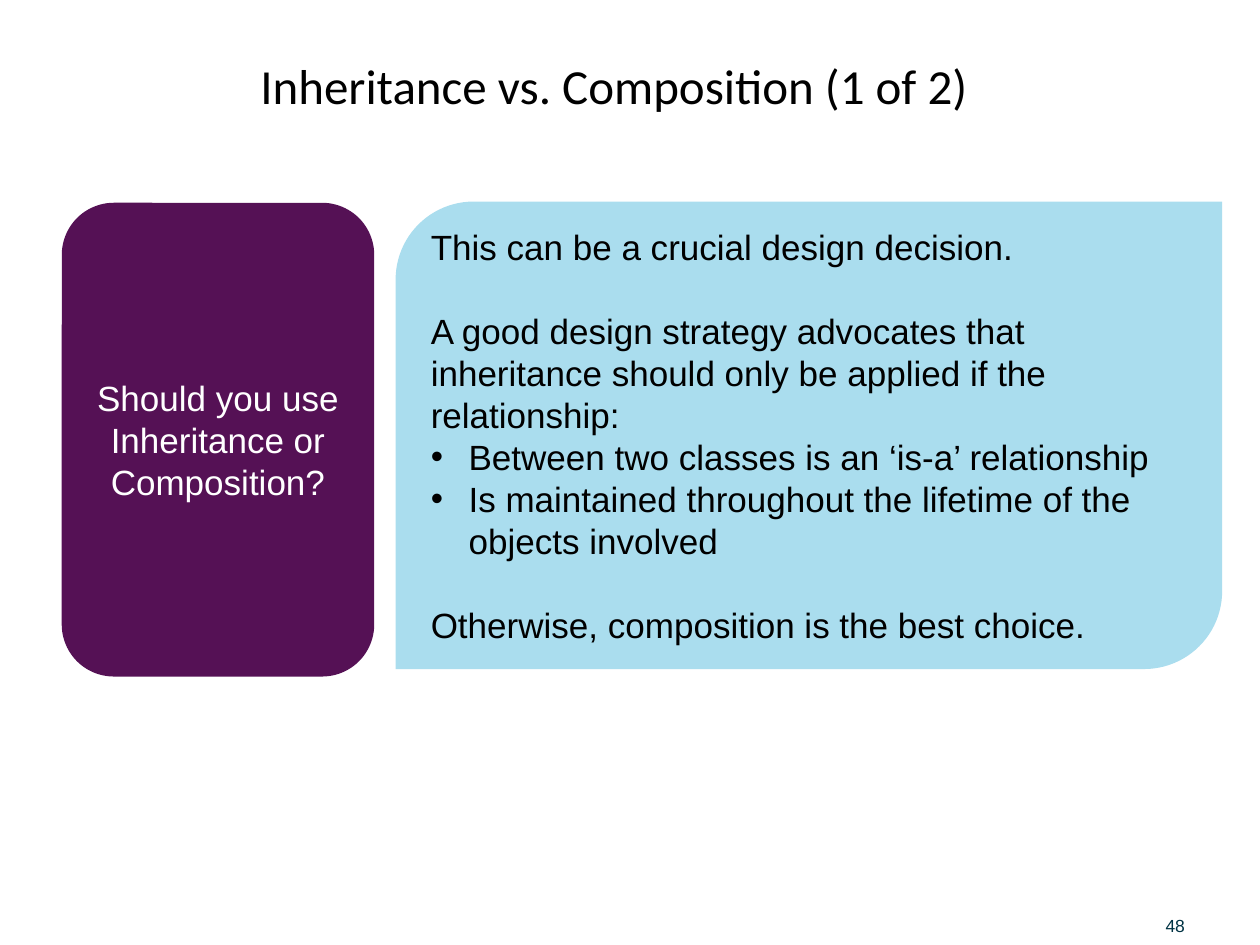
from lxml.etree import SubElement
from pptx import Presentation
from pptx.dml.color import RGBColor
from pptx.enum.shapes import MSO_SHAPE
from pptx.enum.text import MSO_ANCHOR, PP_ALIGN
from pptx.oxml.ns import qn
from pptx.util import Inches, Pt

BLACK = RGBColor(0x00, 0x00, 0x00)
WHITE = RGBColor(0xFF, 0xFF, 0xFF)
PURPLE = RGBColor(0x55, 0x11, 0x55)
LIGHT_BLUE = RGBColor(0xAA, 0xDD, 0xEE)
DARK_TEAL = RGBColor(0x00, 0x33, 0x44)

LINE = Pt(24)
BULLET_INDENT = Inches(0.3)

QUESTION = "Should you use Inheritance or Composition?"
# Each entry: text, is a bullet, starts a new block
ADVICE = [
    ("This can be a crucial design decision.", False, False),
    ("A good design strategy advocates that inheritance should only be "
     "applied if the relationship:", False, True),
    ("Between two classes is an ‘is-a’ relationship", True, False),
    ("Is maintained throughout the lifetime of the objects involved", True, False),
    ("Otherwise, composition is the best choice.", False, True),
]


def inches(*lengths):
    return [Inches(length) for length in lengths]


def style(para, size, color, name="Arial", align=PP_ALIGN.LEFT):
    para.alignment = align
    para.font.size = Pt(size)
    para.font.name = name
    para.font.color.rgb = color


def add_bullet(para):
    properties = para._p.get_or_add_pPr()
    properties.set("marL", str(BULLET_INDENT))
    properties.set("indent", str(-BULLET_INDENT))
    SubElement(properties, qn("a:buFont")).set("typeface", "Arial")
    SubElement(properties, qn("a:buChar")).set("char", "•")


def set_title(page, text):
    title = page.shapes.title
    title.left, title.top, title.width, title.height = inches(0.5, 0.2, 8.83, 0.95)
    title.text_frame.text = text
    title.text_frame.vertical_anchor = MSO_ANCHOR.MIDDLE
    style(title.text_frame.paragraphs[0], 28, BLACK, "Calibri", PP_ALIGN.CENTER)


def add_panel(page, kind, place, fill, entries, color, align):
    panel = page.shapes.add_shape(kind, *inches(*place))
    panel.shadow.inherit = False
    panel.fill.solid()
    panel.fill.fore_color.rgb = fill
    panel.line.fill.background()
    frame = panel.text_frame
    frame.word_wrap = True
    frame.vertical_anchor = MSO_ANCHOR.MIDDLE
    for index, (text, bulleted, new_block) in enumerate(entries):
        para = frame.add_paragraph() if index else frame.paragraphs[0]
        para.text = text
        para.line_spacing = LINE
        if new_block:
            para.space_before = LINE
        if bulleted:
            add_bullet(para)
        style(para, 20, color, align=align)


def add_page_number(page, number):
    box = page.shapes.add_textbox(*inches(9.25, 7.15, 0.69, 0.28))
    frame = box.text_frame
    frame.word_wrap = True
    frame.vertical_anchor = MSO_ANCHOR.BOTTOM
    frame.margin_left = frame.margin_right = 0
    frame.margin_top = frame.margin_bottom = 0
    frame.text = number
    style(frame.paragraphs[0], 10, DARK_TEAL)


def main():
    deck = Presentation()
    deck.slide_width, deck.slide_height = inches(10, 7.5)
    page = deck.slides.add_slide(deck.slide_layouts[5])

    set_title(page, "Inheritance vs. Composition (1 of 2) ")
    # Question on the left, advice on the right
    add_panel(page, MSO_SHAPE.ROUNDED_RECTANGLE, (0.49, 1.61, 2.48, 3.76),
              PURPLE, [(QUESTION, False, False)], WHITE, PP_ALIGN.CENTER)
    add_panel(page, MSO_SHAPE.ROUND_2_DIAG_RECTANGLE, (3.14, 1.6, 6.56, 3.71),
              LIGHT_BLUE, ADVICE, BLACK, PP_ALIGN.LEFT)
    add_page_number(page, "48")

    deck.save("out.pptx")


if __name__ == "__main__":
    main()
